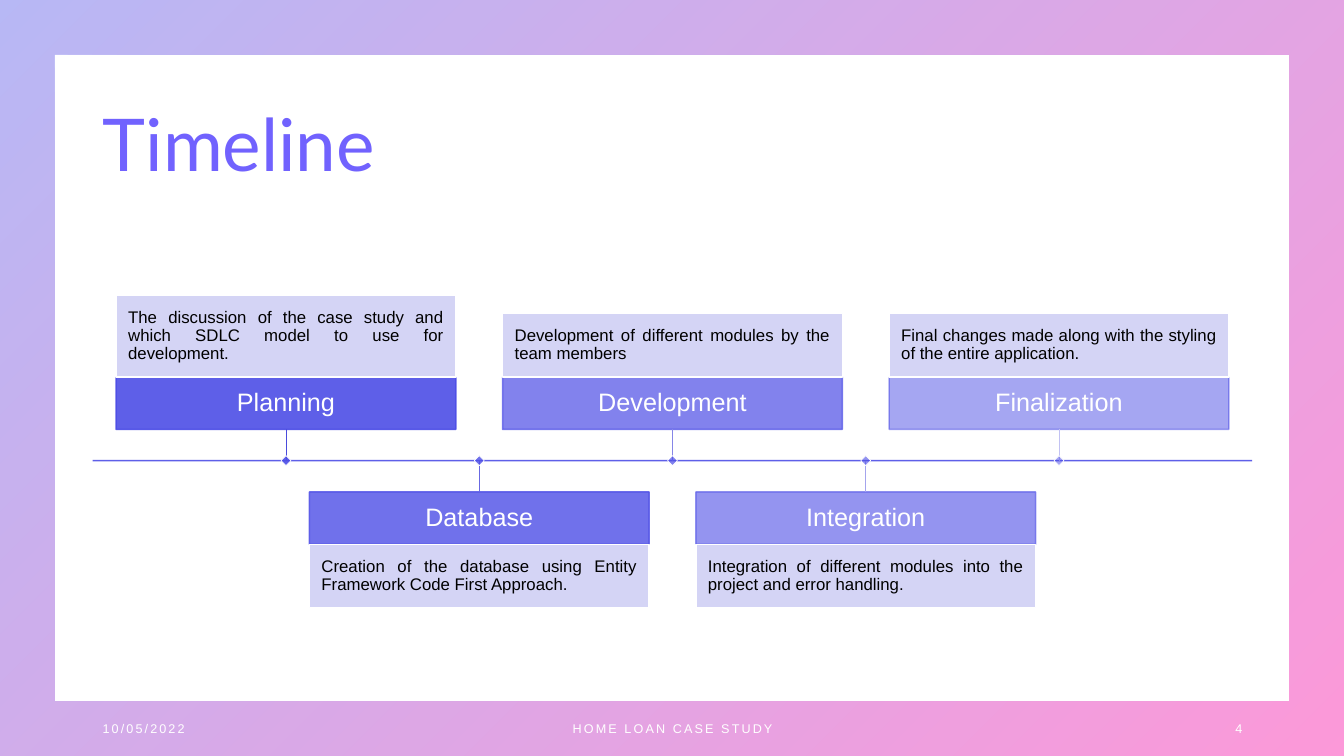
from lxml.etree import SubElement
from pptx import Presentation
from pptx.dml.color import RGBColor
from pptx.enum.shapes import MSO_CONNECTOR, MSO_SHAPE
from pptx.enum.text import MSO_ANCHOR, PP_ALIGN
from pptx.oxml.ns import qn
from pptx.util import Inches, Pt

TITLE = "Timeline"
# name, note, lines in note, opacity, stem colour
STAGES = [
    ("Planning", "The discussion of the case study and which SDLC model to use "
     "for development.", 3, 90, "4A4BDC"),
    ("Database", "Creation of the database using Entity Framework Code First "
     "Approach.", 2, 80, "6868E2"),
    ("Development", "Development of different modules by the team members",
     2, 70, "8686E7"),
    ("Integration", "Integration of different modules into the project and "
     "error handling.", 2, 60, "A4A4ED"),
    ("Finalization", "Final changes made along with the styling of the entire "
     "application.", 2, 50, "C2C2F3"),
]
FOOTER = [
    ("10/05/2022", 0.92, 3, PP_ALIGN.LEFT),
    ("HOME LOAN CASE STUDY", 4.42, 4.5, PP_ALIGN.CENTER),
    ("4", 9.42, 3, PP_ALIGN.RIGHT),
]
BLUE, PINK, PALE, WHITE = "4D4EE6", "F900A0", "D0D0F5", "FFFFFF"

WIDE, HIGH = 13.33, 7.5
LEFT, SPAN = 0.92, 11.5
AXIS = 4.57
STEP = SPAN / (len(STAGES) + 1)
BOX, BAR, STEM, DOT = 3.37, 0.52, 0.31, 0.07
PAD, ROW = 0.27, 0.18

deck = Presentation()
deck.slide_width, deck.slide_height = Inches(WIDE), Inches(HIGH)
slide = deck.slides.add_slide(deck.slide_layouts[5])
shapes = slide.shapes


def tint(text):
    return RGBColor.from_string(text)


def fade(node, alpha):
    """Set the opacity, in percent, of every colour below node."""
    for color in node.iter(qn("a:srgbClr")):
        SubElement(color, qn("a:alpha"), val=str(alpha * 1000))


def add(kind, x, y, w, h):
    shape = shapes.add_shape(kind, Inches(x), Inches(y), Inches(w), Inches(h))
    shape.shadow.inherit = False
    return shape


def block(x, y, w, h, fill, alpha, edge, width):
    """Add a rectangle; an edge in the fill colour shares its opacity."""
    shape = add(MSO_SHAPE.RECTANGLE, x, y, w, h)
    shape.fill.solid()
    shape.fill.fore_color.rgb = tint(fill)
    shape.line.color.rgb = tint(edge)
    shape.line.width = Pt(width)
    props = shape._element.spPr
    fade(props if edge == fill else props.find(qn("a:solidFill")), alpha)
    return shape


def rule(x1, y1, x2, y2, color, width):
    line = shapes.add_connector(MSO_CONNECTOR.STRAIGHT, Inches(x1), Inches(y1),
                                Inches(x2), Inches(y2))
    line.line.color.rgb = tint(color)
    line.line.width = Pt(width)
    SubElement(line._element.spPr, qn("a:effectLst"))
    return line


def write(shape, text, size, color, align, inset=None, font="Arial", space=0.9):
    frame = shape.text_frame
    frame.word_wrap = True
    frame.vertical_anchor = MSO_ANCHOR.MIDDLE
    if inset is not None:
        frame.margin_left = frame.margin_right = Inches(inset)
        frame.margin_top = frame.margin_bottom = Inches(inset)
    para = frame.paragraphs[0]
    para.text = text
    para.alignment, para.line_spacing = align, space
    para.font.name, para.font.size = font, Pt(size)
    para.font.color.rgb = tint(color)
    return para


# Gradient border
border = add(MSO_SHAPE.FRAME, 0, 0, WIDE, HIGH)
border.adjustments[0] = 0.072
border.fill.gradient()
border.fill.gradient_angle = 315
for stop, color, place in zip(border.fill.gradient_stops, (BLUE, PINK), (0, 1)):
    stop.color.rgb = tint(color)
    stop.position = place
fade(border._element.spPr, 40)
border.line.fill.background()

# Title
title = shapes.title
title.left, title.top = Inches(LEFT), Inches(0.74)
title.width, title.height = Inches(SPAN), Inches(1.45)
write(title, TITLE, 52, "7162FE", PP_ALIGN.LEFT, font="Lato")

# Timeline, with stages in turn above and below the axis
axis = rule(LEFT, AXIS, LEFT + SPAN, AXIS, BLUE, 1)
fade(axis._element.spPr, 90)
for i, (name, note, rows, alpha, color) in enumerate(STAGES):
    mid = LEFT + STEP * (i + 1)
    x = mid - BOX / 2
    tall = PAD + ROW * rows
    if i % 2 == 0:
        end = AXIS - STEM
        top = end - BAR
        below = top - tall
    else:
        end = top = AXIS + STEM
        below = top + BAR
    bar = block(x, top, BOX, BAR, BLUE, alpha, BLUE, 1)
    write(bar, name, 18, WHITE, PP_ALIGN.CENTER, 0.1)
    card = block(x, below, BOX, tall, PALE, 90, WHITE, 1)
    write(card, note, 12, "000000", PP_ALIGN.JUSTIFY, 0.12)
    rule(mid, AXIS, mid, end, color, 0.5)
    dot = block(mid - DOT / 2, AXIS - DOT / 2, DOT, DOT, BLUE, alpha, WHITE, 0.5)
    dot.rotation = 45

# Footer
for text, x, w, align in FOOTER:
    box = shapes.add_textbox(Inches(x), Inches(7.03), Inches(w), Inches(0.4))
    para = write(box, text, 9, WHITE, align, space=1)
    para.runs[0].font._element.set("spc", "150")

deck.save("out.pptx")
